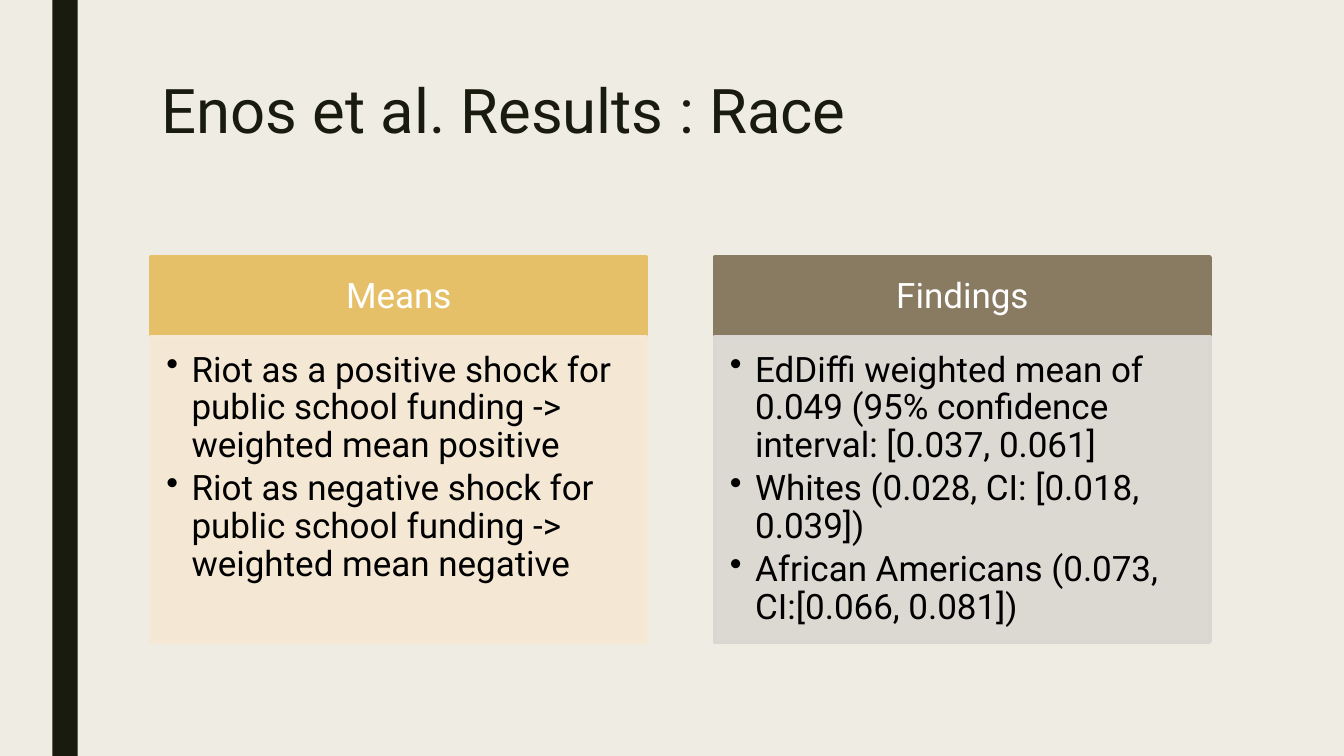
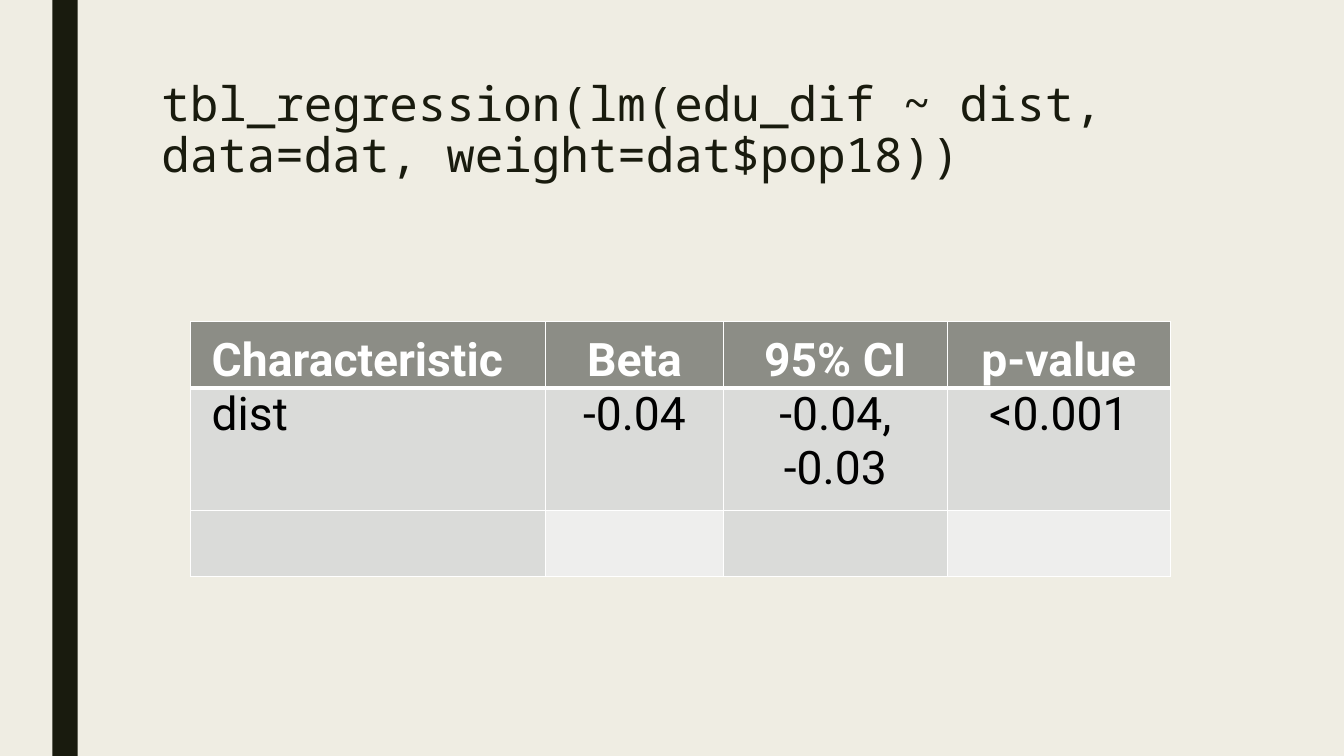
import pptx
import pptx.dml.color
import pptx.enum.shapes
import pptx.enum.text
import pptx.oxml
import pptx.oxml.ns
import pptx.util
from lxml import etree

WIDTH, HEIGHT = 13.33, 7.5
PAPER, INK, WHITE, BLACK = "EFEDE3", "191B0E", "FFFFFF", "000000"
HEADER_FILL, CELL_FILL, CELL_LIGHT = "8C8D86", "DADBD9", "EEEEED"
FONT, CODE_FONT = "Roboto", "Noto Sans Mono"
TITLE_BOX = (1.5, 0.75, 10.5, 1.62)
CARDS_BOX = (1.5, 2.55, 10.5, 3.82)
TABLE_BOX = (1.89, 3.19, 9.72, 2.53)
ALIGN = pptx.enum.text.PP_ALIGN
ANCHOR = pptx.enum.text.MSO_ANCHOR

CARDS = [
    ("Means", "E6C069", "F5E8D4", [
        "Riot as a positive shock for public school funding -> weighted mean positive",
        "Riot as negative shock for public school funding -> weighted mean negative",
    ]),
    ("Findings", "897B61", "DAD7D2", [
        "EdDiffi weighted mean of 0.049 (95% confidence interval: [0.037, 0.061]",
        "Whites (0.028, CI: [0.018, 0.039])",
        "African Americans (0.073, CI:[0.066, 0.081])",
    ]),
]
TABLE_ROWS = [
    ["Characteristic", "Beta", "95% CI", "p-value"],
    ["dist", "-0.04", "-0.04, -0.03", "<0.001"],
    ["", "", "", ""],
]
COLUMN_SHARES = (0.362, 0.182, 0.228, 0.228)
ROW_SHARES = (0.26, 0.48, 0.26)


def paint(target, color, alpha=None):
    """Give a fill one solid colour, with an optional opacity in percent."""
    target.solid()
    target.fore_color.rgb = pptx.dml.color.RGBColor.from_string(color)
    if alpha is not None:
        for node in target._xPr.iter(pptx.oxml.ns.qn("a:srgbClr")):
            mark = etree.SubElement(node, pptx.oxml.ns.qn("a:alpha"))
            mark.set("val", str(alpha * 1000))


def style(para, size, color, font=FONT, bold=False, align=ALIGN.LEFT):
    """Format a whole paragraph."""
    para.alignment = align
    para.font.size = pptx.util.Pt(size)
    para.font.name = font
    para.font.bold = bold
    paint(para.font.fill, color)


def place(shape, box):
    """Move a shape to a box in inches."""
    shape.left, shape.top, shape.width, shape.height = map(pptx.util.Inches, box)


def set_insets(holder, insets):
    """Set left, top, right and bottom margins in inches."""
    sides = ("margin_left", "margin_top", "margin_right", "margin_bottom")
    for side, inset in zip(sides, insets):
        setattr(holder, side, pptx.util.Inches(inset))


def add_panel(page, box, color, alpha=None):
    """Add a plain filled rectangle with an outline of the same colour."""
    panel = page.shapes.add_shape(
        pptx.enum.shapes.MSO_SHAPE.RECTANGLE, *map(pptx.util.Inches, box))
    panel.shadow.inherit = False
    paint(panel.fill, color, alpha)
    panel.line.width = pptx.util.Pt(2.75)
    paint(panel.line.fill, color)
    panel.text_frame.word_wrap = True
    return panel


def set_up_master(deck, page):
    """Put the paper colour and the side band on the slide master."""
    master = deck.slide_master
    paint(master.background.fill, PAPER)
    band = add_panel(page, (0.52, 0, 0.25, HEIGHT), INK)
    band.line.fill.background()
    band.element.xpath("./p:nvSpPr/p:cNvPr")[0].set("id", "100")
    master.shapes.element.insert(2, band.element)


def add_page(deck, title, size, font=FONT):
    """Add a slide with its formatted title."""
    page = deck.slides.add_slide(deck.slide_layouts[5])
    place(page.shapes.title, TITLE_BOX)
    frame = page.shapes.title.text_frame
    frame.text = title
    frame.word_wrap = True
    frame.auto_size = pptx.enum.text.MSO_AUTO_SIZE.NONE
    frame.vertical_anchor = ANCHOR.TOP
    frame.paragraphs[0].line_spacing = 0.89
    style(frame.paragraphs[0], size, INK, font)
    return page


def add_bullet(para):
    """Give a paragraph a hanging round bullet."""
    settings = para._p.get_or_add_pPr()
    settings.set("marL", str(pptx.util.Inches(0.25)))
    settings.set("indent", str(-pptx.util.Inches(0.25)))
    etree.SubElement(settings, pptx.oxml.ns.qn("a:buChar")).set("char", "•")


def add_card(page, box, heading, color, tint, points):
    """Add a heading bar above a tinted panel of bullets."""
    left, top, width, height = box
    bar_height = height * 0.207
    bar = add_panel(page, (left, top, width, bar_height), color)
    bar.text_frame.text = heading
    bar.text_frame.vertical_anchor = ANCHOR.MIDDLE
    set_insets(bar.text_frame, (0.19, 0.11, 0.19, 0.11))
    bar.text_frame.paragraphs[0].line_spacing = 0.9
    style(bar.text_frame.paragraphs[0], 25, WHITE, align=ALIGN.CENTER)

    body = add_panel(
        page, (left, top + bar_height, width, height - bar_height), tint, 90)
    frame = body.text_frame
    frame.text = "\n".join(points)
    frame.vertical_anchor = ANCHOR.TOP
    set_insets(frame, (0.15, 0.15, 0.19, 0.22))
    for para in frame.paragraphs:
        add_bullet(para)
        para.line_spacing = 0.9
        para.space_after = pptx.util.Pt(3.75)
        style(para, 25, BLACK)


def add_cards(page, box, cards):
    """Spread cards of equal width across a box."""
    left, top, width, height = box
    gap = 0.68
    card_width = (width - gap * (len(cards) - 1)) / len(cards)
    for index, card in enumerate(cards):
        card_left = left + index * (card_width + gap)
        add_card(page, (card_left, top, card_width, height), *card)


def add_borders(cell, widths):
    """Draw white cell borders of the given widths in points."""
    settings = cell._tc.get_or_add_tcPr()
    for side, width in widths.items():
        settings.append(pptx.oxml.parse_xml(
            f'<a:ln{side} {pptx.oxml.ns.nsdecls("a")} w="{pptx.util.Pt(width)}">'
            f'<a:solidFill><a:srgbClr val="{WHITE}"/></a:solidFill></a:ln{side}>'))


def fill_cell(cell, text, row, column):
    """Format one table cell by its row and column."""
    header = row == 0
    add_borders(cell, {"L": 1, "R": 1, "T": 3 if row == 1 else 1,
                       "B": 3 if header else 1})
    light = row == 2 and column % 2 == 1
    paint(cell.fill, HEADER_FILL if header else CELL_LIGHT if light else CELL_FILL)
    if not text:
        return
    cell.text = text
    cell.vertical_anchor = ANCHOR.BOTTOM if header else ANCHOR.TOP
    set_insets(cell, (0.21, 0, 0.21, 0))
    para = cell.text_frame.paragraphs[0]
    para.space_after = pptx.util.Pt(1.8)
    style(para, 33, WHITE if header else BLACK, bold=header,
          align=ALIGN.CENTER if column else ALIGN.LEFT)


def add_regression_table(page, box, rows):
    """Add the table of regression results in a box."""
    table = page.shapes.add_table(
        len(rows), len(rows[0]), *map(pptx.util.Inches, box)).table
    for column, share in zip(table.columns, COLUMN_SHARES):
        column.width = pptx.util.Inches(box[2] * share)
    for row, share in zip(table.rows, ROW_SHARES):
        row.height = pptx.util.Inches(box[3] * share)
    for row, texts in enumerate(rows):
        for column, text in enumerate(texts):
            fill_cell(table.cell(row, column), text, row, column)


def main():
    """Build and save the deck."""
    deck = pptx.Presentation()
    deck.slide_width = pptx.util.Inches(WIDTH)
    deck.slide_height = pptx.util.Inches(HEIGHT)
    race = add_page(deck, "Enos et al. Results : Race", 44)
    set_up_master(deck, race)
    add_cards(race, CARDS_BOX, CARDS)
    regression = add_page(
        deck, "tbl_regression(lm(edu_dif ~ dist, data=dat, weight=dat$pop18))",
        34, CODE_FONT)
    add_regression_table(regression, TABLE_BOX, TABLE_ROWS)
    deck.save("out.pptx")


if __name__ == "__main__":
    main()
